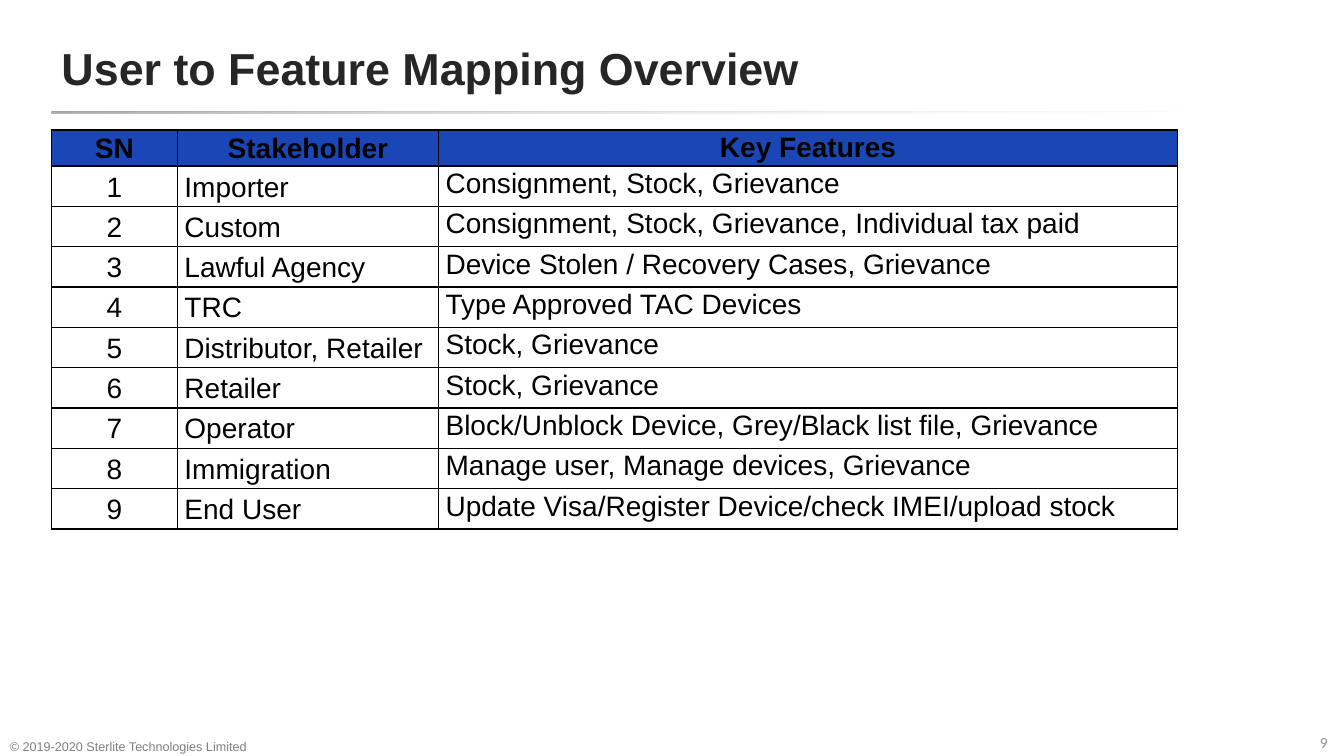
from lxml.etree import SubElement as Sub
from pptx import Presentation
from pptx.dml.color import RGBColor as Rgb
from pptx.enum.shapes import MSO_SHAPE as Shape
from pptx.enum.text import MSO_ANCHOR as Anchor, MSO_AUTO_SIZE as Fit, PP_ALIGN as Align
from pptx.oxml.ns import qn
from pptx.util import Emu, Pt

PX = 9144
COLORS = {"ink": "262626", "text": "000000", "head": "1B47B6", "rule": "AFABAB",
          "white": "FFFFFF", "page": "929292", "foot": "808080"}
COLS = [125, 259, 733]
HEAD_H, ROW_H = 34, 40
ROWS = [
    ("SN", "Stakeholder", "Key Features"),
    ("1", "Importer", "Consignment, Stock, Grievance"),
    ("2", "Custom", "Consignment, Stock, Grievance, Individual tax paid"),
    ("3", "Lawful Agency", "Device Stolen / Recovery Cases, Grievance"),
    ("4", "TRC", "Type Approved TAC Devices"),
    ("5", "Distributor, Retailer", "Stock, Grievance"),
    ("6", "Retailer", "Stock, Grievance"),
    ("7", "Operator", "Block/Unblock Device, Grey/Black list file, Grievance"),
    ("8", "Immigration", "Manage user, Manage devices, Grievance"),
    ("9", "End User", "Update Visa/Register Device/check IMEI/upload stock"),
]


def px(*vals):
    return [Emu(val * PX) for val in vals]


def rgb(name):
    return Rgb.from_string(COLORS[name])


def write(frame, text, size=20, color="text", font="Arial", bold=False,
          align=Align.LEFT, line=None, after=None):
    para = frame.paragraphs[0]
    para.alignment = align
    para.line_spacing = line
    para.space_after = after
    run = para.add_run()
    run.text = text
    run.font.name, run.font.size, run.font.bold = font, Pt(size), bold
    run.font.color.rgb = rgb(color)


def add_title(slide, text):
    title = slide.shapes.title
    title.left, title.top, title.width, title.height = px(51, 23, 992, 88)
    frame = title.text_frame
    frame.vertical_anchor = Anchor.MIDDLE
    frame.auto_size = Fit.NONE
    write(frame, text, size=32, color="ink", bold=True)


def add_rule(slide):
    rule = slide.shapes.add_shape(Shape.ROUNDED_RECTANGLE, *px(51, 111, 1231, 2))
    rule.adjustments[0] = 0.5
    rule.shadow.inherit = False
    rule.line.fill.background()
    rule.fill.gradient()
    rule.fill.gradient_angle = 0
    start, end = rule.fill.gradient_stops
    start.color.rgb, start.position = rgb("rule"), 0
    end.color.rgb, end.position = rgb("white"), 0.96
    fade = list(rule.fill._xPr.iter(qn("a:srgbClr")))[-1]
    Sub(fade, qn("a:alpha"), val="0")


def add_text(slide, box, text, wrap=True, inset=None, anchor=Anchor.TOP, **style):
    frame = slide.shapes.add_textbox(*px(*box)).text_frame
    frame.word_wrap = wrap
    frame.vertical_anchor = anchor
    if inset is not None:
        pad, = px(inset)
        frame.margin_left = frame.margin_right = pad
        frame.margin_top = frame.margin_bottom = pad
    write(frame, text, **style)


def add_edges(cell):
    props = cell._tc.get_or_add_tcPr()
    for side in ("lnL", "lnR", "lnT", "lnB"):
        edge = Sub(props, qn(f"a:{side}"), w=str(Pt(1)))
        fill = Sub(edge, qn("a:solidFill"))
        Sub(fill, qn("a:srgbClr"), val=COLORS["text"])


def fill_cell(cell, text, head, col):
    add_edges(cell)
    if head:
        cell.fill.solid()
        cell.fill.fore_color.rgb = rgb("head")
    else:
        cell.fill.background()
    cell.margin_left, cell.margin_right, cell.margin_top, cell.margin_bottom = px(7, 7, 0, 0)
    cell.vertical_anchor = Anchor.MIDDLE if col < 2 else Anchor.TOP
    align = Align.CENTER if head or col == 0 else Align.LEFT
    write(cell.text_frame, text, bold=head, align=align, line=1.07, after=Pt(8))


def add_grid(slide):
    high = HEAD_H + ROW_H * (len(ROWS) - 1)
    box = px(51, 129, sum(COLS), high)
    table = slide.shapes.add_table(len(ROWS), len(COLS), *box).table
    table.first_row = table.horz_banding = False
    for col, wide in zip(table.columns, COLS):
        col.width, = px(wide)
    for num, texts in enumerate(ROWS):
        table.rows[num].height, = px(ROW_H if num else HEAD_H)
        for col, text in enumerate(texts):
            fill_cell(table.cell(num, col), text, num == 0, col)


def main():
    """Build the feature mapping slide."""
    deck = Presentation()
    deck.slide_width, deck.slide_height = px(1333, 750)
    slide = deck.slides.add_slide(deck.slide_layouts[5])
    add_rule(slide)
    add_title(slide, "User to Feature Mapping Overview")
    add_text(slide, (1304, 722, 26, 29), "9", wrap=False, inset=5,
             size=11, color="page", font="Calibri")
    add_text(slide, (0, 722, 303, 31), "© 2019-2020 Sterlite Technologies Limited",
             anchor=Anchor.BOTTOM, size=9, color="foot")
    add_grid(slide)
    deck.save("out.pptx")


if __name__ == "__main__":
    main()
